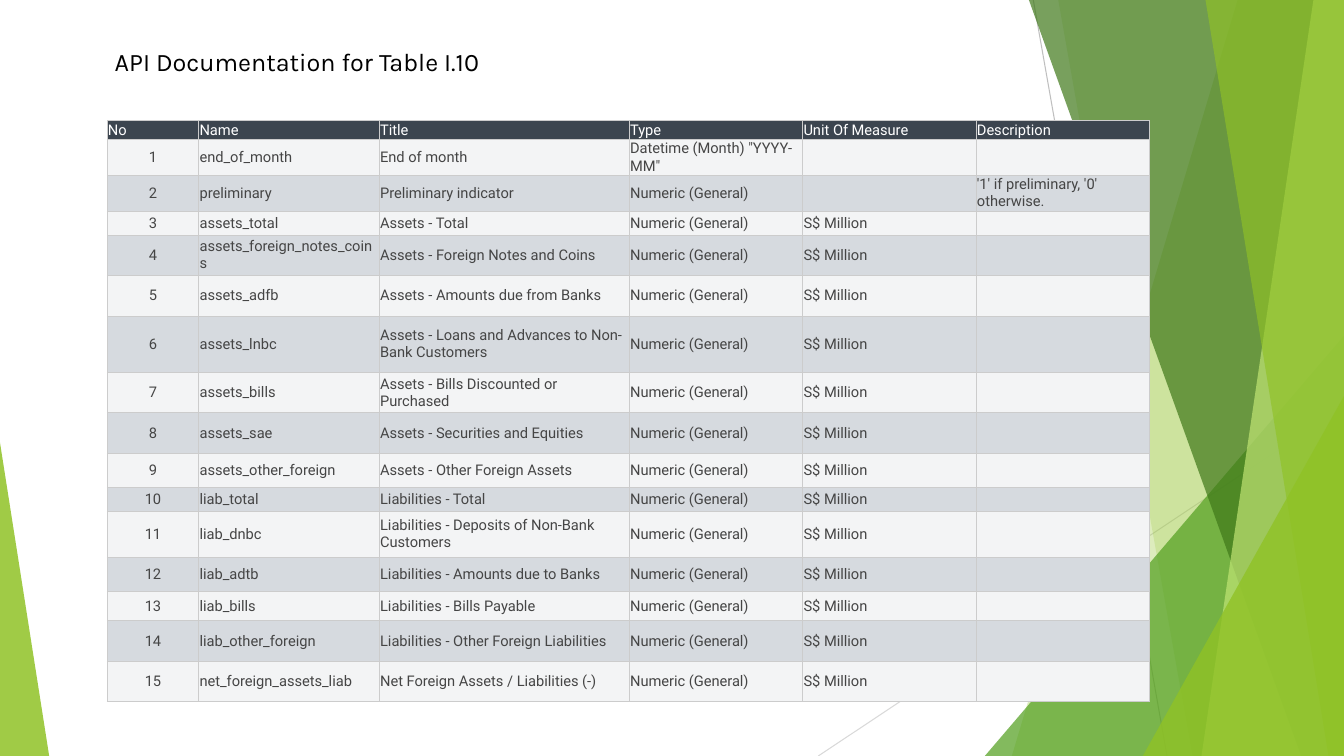
from lxml import etree
from pptx import Presentation
from pptx import util as u
from pptx.dml.color import RGBColor
from pptx.enum import shapes, text
from pptx.oxml import parse_xml
from pptx.oxml.ns import nsdecls, qn

Cm, Pt = u.Cm, u.Pt
COLORS = {
    "lime": "90C226", "green": "54A021", "forest": "3F7819", "pale": "C0E474",
    "grey": "BFBFBF", "silver": "D9D9D9", "border": "CCCCCC",
    "header": "3C454F", "odd": "F3F4F5", "even": "D6DADF",
    "text": "454545", "white": "FFFFFF", "black": "000000",
}
WIDTH, HEIGHT = 33.87, 19.05


def rgb(name):
    """Return the named colour as an RGBColor."""
    return RGBColor.from_string(COLORS[name])


def paint(sp, color, opacity):
    """Give a shape a translucent fill, with no line or shadow."""
    sp.shadow.inherit = False
    sp.line.fill.background()
    sp.fill.solid()
    sp.fill.fore_color.rgb = rgb(color)
    clr = sp._element.spPr.find(qn("a:solidFill"))[0]
    etree.SubElement(clr, qn("a:alpha"), val=str(opacity * 1000))


prs = Presentation()
prs.slide_width, prs.slide_height = Cm(WIDTH), Cm(HEIGHT)
s = prs.slides.add_slide(prs.slide_layouts[6])

# Thin background lines
for x1, y1, x2, color in [(26.04, 0, 29.41, "grey"), (WIDTH, 10.24, 20.62, "silver")]:
    line = s.shapes.add_connector(
        shapes.MSO_CONNECTOR.STRAIGHT, Cm(x1), Cm(y1), Cm(x2), Cm(HEIGHT))
    line.line.color.rgb = rgb(color)
    line.line.width = Pt(0.75)
    etree.SubElement(line._element.spPr, qn("a:effectLst"))

# Green facets: a band has its left edge's top and bottom x,
# a triangle has left, top, width and the place of its tip
facets = [
    ("band", (31.19, 25.5), "lime", 30),
    ("band", (26.67, 30.05), "lime", 20),
    ("triangle", (24.82, 8.46, 9.05, 1), "green", 72),
    ("band", (25.93, 32.79), "forest", 70),
    ("band", (33.1, 30.28), "pale", 70),
    ("band", (30.38, 33.48), "lime", 65),
    ("triangle", (28.8, 9.98, 5.07, 1), "lime", 80),
    ("triangle", (0, 11.15, 1.24, 0), "lime", 85),
]
for kind, place, color, opacity in facets:
    if kind == "band":
        top_x, bottom_x = place
        outline = s.shapes.build_freeform(Cm(top_x), 0)
        outline.add_line_segments([
            (Cm(WIDTH), 0), (Cm(WIDTH), Cm(HEIGHT)), (Cm(bottom_x), Cm(HEIGHT))])
        sp = outline.convert_to_shape()
    else:
        left, top, width, tip = place
        sp = s.shapes.add_shape(
            shapes.MSO_SHAPE.ISOSCELES_TRIANGLE,
            Cm(left), Cm(top), Cm(width), Cm(HEIGHT - top))
        sp.adjustments[0] = tip
    paint(sp, color, opacity)

# Field table: row height, name, title
fields = [
    (0.9, "end_of_month", "End of month"),
    (0.89, "preliminary", "Preliminary indicator"),
    (0.6, "assets_total", "Assets - Total"),
    (1.02, "assets_foreign_notes_coins", "Assets - Foreign Notes and Coins"),
    (1.02, "assets_adfb", "Assets - Amounts due from Banks"),
    (1.42, "assets_lnbc", "Assets - Loans and Advances to Non-Bank Customers"),
    (1.02, "assets_bills", "Assets - Bills Discounted or Purchased"),
    (1.02, "assets_sae", "Assets - Securities and Equities"),
    (0.87, "assets_other_foreign", "Assets - Other Foreign Assets"),
    (0.6, "liab_total", "Liabilities - Total"),
    (1.14, "liab_dnbc", "Liabilities - Deposits of Non-Bank Customers"),
    (0.88, "liab_adtb", "Liabilities - Amounts due to Banks"),
    (0.73, "liab_bills", "Liabilities - Bills Payable"),
    (1.02, "liab_other_foreign", "Liabilities - Other Foreign Liabilities"),
    (1.02, "net_foreign_assets_liab", "Net Foreign Assets / Liabilities (-)"),
]
heights = [0.46] + [field[0] for field in fields]
rows = [["No", "Name", "Title", "Type", "Unit Of Measure", "Description"]]
for number, (_, name, title) in enumerate(fields, 1):
    unit = "S$ Million" if number > 2 else ""
    rows.append([str(number), name, title, "Numeric (General)", unit, ""])
rows[1][3] = 'Datetime (Month) "YYYY-MM"'
rows[2][5] = "'1' if preliminary, '0' otherwise."

col_widths = [2.31, 4.55, 6.3, 4.37, 4.37, 4.37]
table = s.shapes.add_table(
    len(rows), len(col_widths), Cm(2.7), Cm(3.04),
    Cm(sum(col_widths)), Cm(sum(heights))).table
table.first_row = table.horz_banding = False
for column, width in zip(table.columns, col_widths):
    column.width = Cm(width)

for i, (values, height) in enumerate(zip(rows, heights)):
    table.rows[i].height = Cm(height)
    fill = "header" if i == 0 else "odd" if i % 2 else "even"
    for j, value in enumerate(values):
        cell = table.cell(i, j)
        cell.margin_left = cell.margin_right = Cm(0.02)
        cell.margin_top = cell.margin_bottom = Cm(0.02)
        cell.vertical_anchor = text.MSO_ANCHOR.MIDDLE
        cell.fill.solid()
        cell.fill.fore_color.rgb = rgb(fill)
        for k, side in enumerate("LRTB"):
            cell._tc.tcPr.insert(k, parse_xml(
                f'<a:ln{side} {nsdecls("a")} w="7620"><a:solidFill>'
                f'<a:srgbClr val="{COLORS["border"]}"/></a:solidFill></a:ln{side}>'))
        p = cell.text_frame.paragraphs[0]
        p.font.name, p.font.size = "Roboto", Pt(10.5)
        p.font.color.rgb = rgb("text" if i else "white")
        if i and j == 0:
            p.alignment = text.PP_ALIGN.CENTER
        if value:
            p.add_run().text = value
        else:
            etree.SubElement(p._p, qn("a:endParaRPr"), sz="1050")

# Title
tf = s.shapes.add_textbox(Cm(2.64), Cm(1.04), Cm(27.28), Cm(1.02)).text_frame
tf.word_wrap = True
p = tf.paragraphs[0]
p.text = "API Documentation for Table I.10"
p.font.name, p.font.size = "Karla", Pt(18)
p.font.color.rgb = rgb("black")

prs.save("out.pptx")
